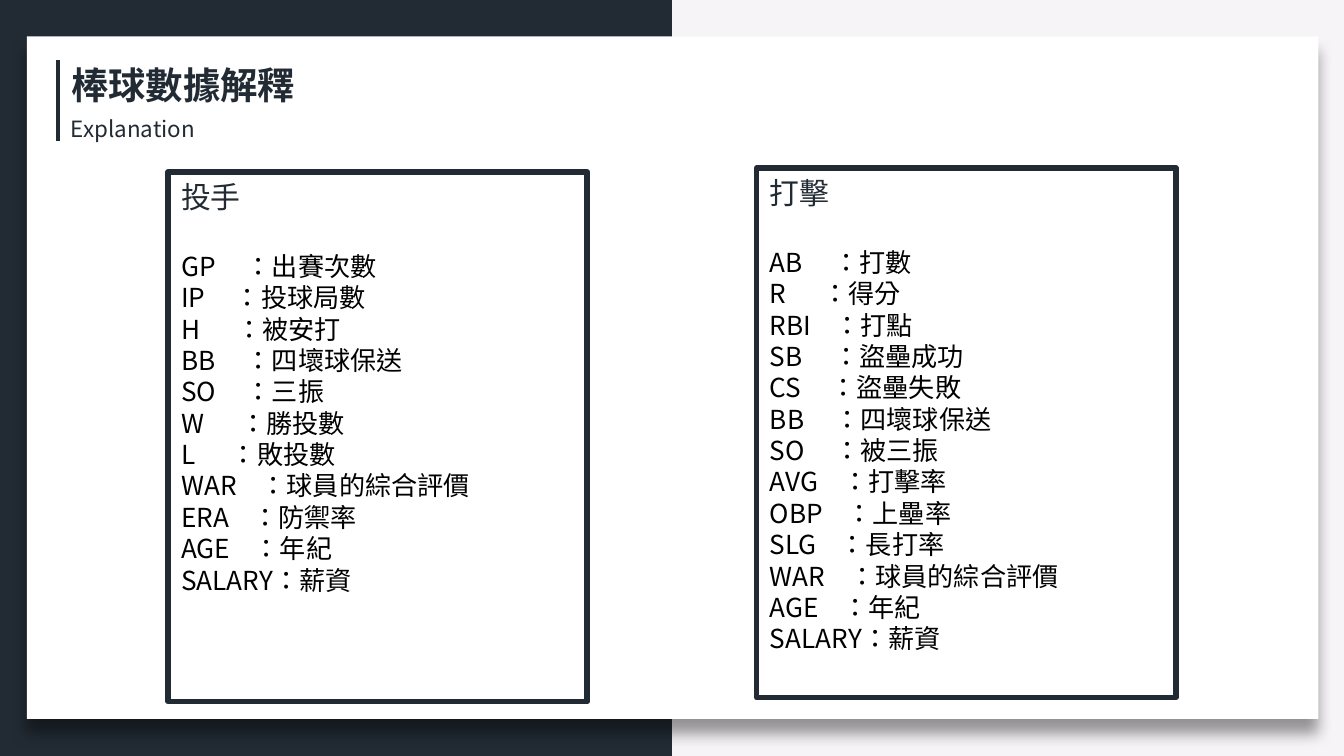
import pptx
import pptx.dml.color
import pptx.enum.shapes
import pptx.enum.text
import pptx.oxml
import pptx.oxml.ns
import pptx.util
from pptx.util import Inches

DARK = "222B34"
FONT = "Noto Sans CJK JP"
WIDE = 10
HIGH = WIDE * 9 / 16
PITCH = (("GP", 0.48, "出賽次數"), ("IP", 0.40, "投球局數"), ("H", 0.41, "被安打"),
         ("BB", 0.48, "四壞球保送"), ("SO", 0.48, "三振"), ("W", 0.44, "勝投數"),
         ("L", 0.37, "敗投數"), ("WAR", 0.59, "球員的綜合評價"),
         ("ERA", 0.53, "防禦率"), ("AGE", 0.54, "年紀"), ("SALARY", None, "薪資"))
BAT = (("AB", 0.47, "打數"), ("R", 0.39, "得分"), ("RBI", 0.48, "打點"),
       ("SB", 0.47, "盜壘成功"), ("CS", 0.45, "盜壘失敗"), ("BB", 0.48, "四壞球保送"),
       ("SO", 0.48, "被三振"), ("AVG", 0.54, "打擊率"), ("OBP", 0.57, "上壘率"),
       ("SLG", 0.52, "長打率"), ("WAR", 0.59, "球員的綜合評價"),
       ("AGE", 0.54, "年紀"), ("SALARY", None, "薪資"))


def tint(code):
    """Turn a hex string into a colour."""
    return pptx.dml.color.RGBColor.from_string(code)


def put(item, values):
    """Set attributes from a dict."""
    for name, value in values.items():
        setattr(item, name, value)


def node(body):
    """Parse one drawing element from its inner markup."""
    head, rest = body.split(" ", 1)
    return pptx.oxml.parse_xml(f"<a:{head} {pptx.oxml.ns.nsdecls('a')} {rest}")


def write(para, text, size, color, font=FONT, bold=False):
    """Add one styled run of Traditional Chinese to a paragraph."""
    run = para.add_run()
    run.text = text
    put(run.font, {"size": pptx.util.Pt(size), "name": font, "bold": bold})
    run.font.color.rgb = tint(color)
    props = run._r.get_or_add_rPr()
    props.set("lang", "zh-TW")
    props.append(node(f'ea typeface="{FONT}"/>'))


def rect(slide, box, fill=None, line=None):
    """Add a plain rectangle."""
    shape = slide.shapes.add_shape(pptx.enum.shapes.MSO_SHAPE.RECTANGLE, *map(Inches, box))
    shape.shadow.inherit = False
    if fill:
        shape.fill.solid()
        shape.fill.fore_color.rgb = tint(fill)
    else:
        shape.fill.background()
    if line:
        shape.line.color.rgb = tint(line)
        shape.line.width = pptx.util.Pt(3)
    else:
        shape.line.fill.background()
    return shape


def shade(shape):
    """Give a shape a soft shadow below it."""
    old = shape._element.spPr.find(pptx.oxml.ns.qn("a:effectLst"))
    old.append(node('outerShdw blurRad="101600" dist="101600" dir="5400000" rotWithShape="0">'
                    '<a:srgbClr val="000000"><a:alpha val="40000"/></a:srgbClr></a:outerShdw>'))


def rule(slide, x, top, end):
    """Add the upright line beside the title."""
    line = slide.shapes.add_connector(
        pptx.enum.shapes.MSO_CONNECTOR.STRAIGHT, *map(Inches, (x, top, x, end)))
    line.line.color.rgb = tint(DARK)
    line.line.width = pptx.util.Pt(2.25)
    line._element.spPr.append(node("effectLst />"))


def label(slide, box, text, size, bold=False):
    """Add a one-line text box."""
    frame = slide.shapes.add_textbox(*map(Inches, box)).text_frame
    put(frame, {"word_wrap": False, "vertical_anchor": pptx.enum.text.MSO_ANCHOR.MIDDLE})
    write(frame.paragraphs[0], text, size, DARK, bold=bold)


def card(slide, left, top, head, font, rows):
    """Add a framed list of terms with their meanings."""
    frame = rect(slide, (left, top, 3.12, 3.94), line=DARK).text_frame
    put(frame, {"word_wrap": True, "vertical_anchor": pptx.enum.text.MSO_ANCHOR.TOP})
    base = {"alignment": pptx.enum.text.PP_ALIGN.LEFT}
    para = frame.paragraphs[0]
    put(para, {**base, "line_spacing": pptx.util.Pt(19.2), "space_after": pptx.util.Pt(19.2)})
    write(para, head, 16, DARK, font)
    for term, stop, sense in rows:
        para = frame.add_paragraph()
        put(para, {**base, "line_spacing": pptx.util.Pt(16.8)})
        if stop:
            para._p.get_or_add_pPr().append(
                node(f'tabLst ><a:tab pos="{Inches(stop)}" algn="l"/></a:tabLst>'))
        gap = "\t" if stop else ""
        write(para, f"{term}{gap}：{sense}", 14, "000000")


def main():
    """Build the slide and save it."""
    deck = pptx.Presentation()
    put(deck, {"slide_width": Inches(WIDE), "slide_height": Inches(HIGH)})
    slide = deck.slides.add_slide(deck.slide_layouts[6])
    slide.background.fill.solid()
    slide.background.fill.fore_color.rgb = tint("F6F4F7")
    rect(slide, (0, 0, WIDE / 2, HIGH), DARK)
    shade(rect(slide, (0.2, 0.27, 9.61, 5.08), "FFFFFF"))
    rule(slide, 0.43, 0.45, 1.05)
    label(slide, (0.43, 0.41, 1.88, 0.44), "棒球數據解釋", 20, True)
    label(slide, (0.43, 0.81, 1.13, 0.3), "Explanation", 12)
    card(slide, 1.25, 1.28, "投手", "Calibri", PITCH)
    card(slide, 5.63, 1.25, "打擊", FONT, BAT)
    deck.save("out.pptx")


if __name__ == "__main__":
    main()
